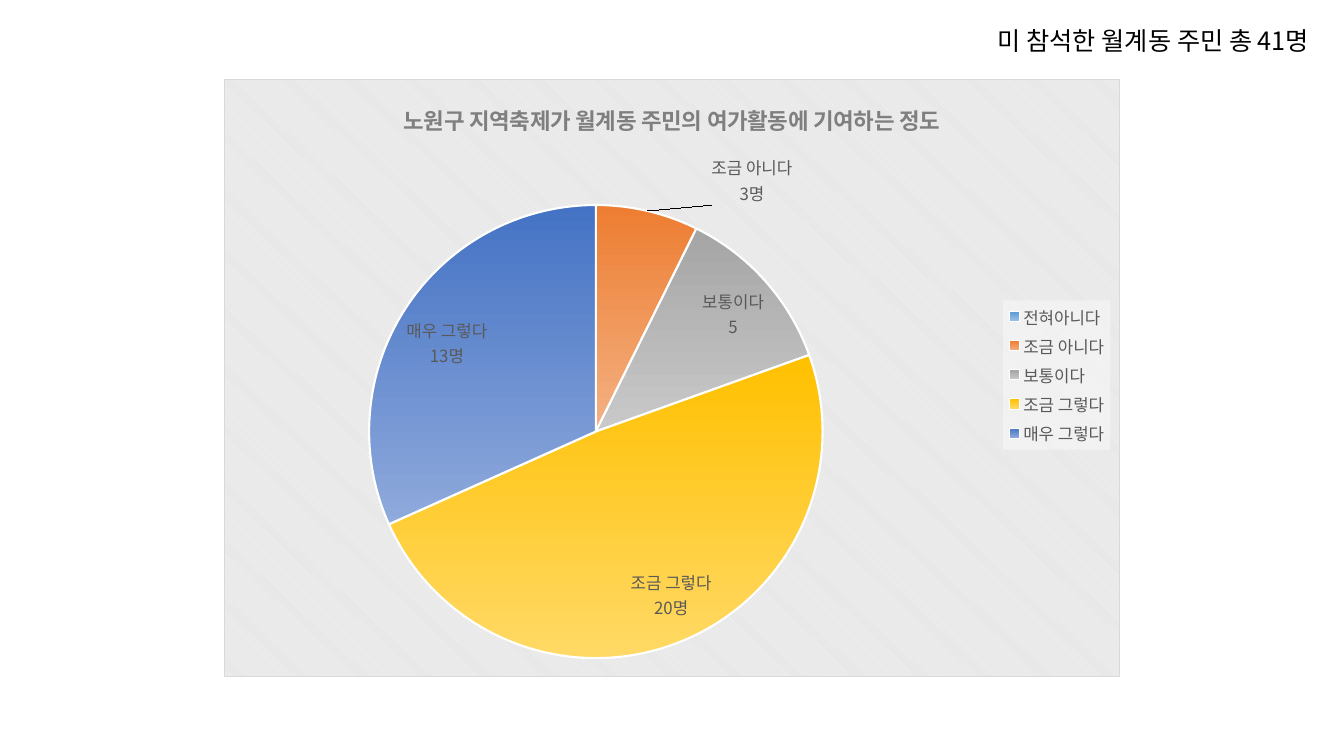
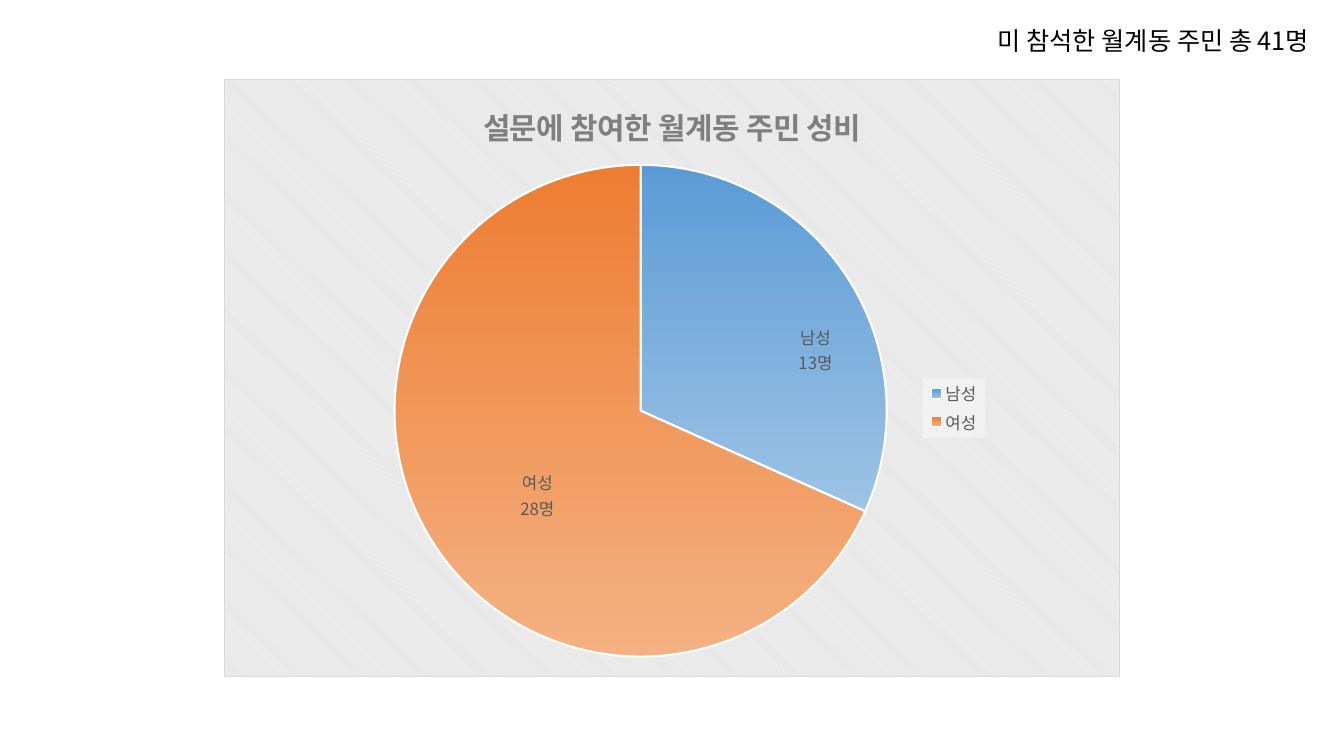
from pptx import Presentation
from pptx.chart.data import CategoryChartData
from pptx.dml.color import RGBColor
from pptx.enum.chart import XL_CHART_TYPE, XL_LABEL_POSITION, XL_LEGEND_POSITION
from pptx.oxml import parse_xml
from pptx.oxml.ns import nsdecls, qn
from pptx.util import Inches, Pt

PIE = XL_CHART_TYPE.PIE
BEST_FIT = XL_LABEL_POSITION.BEST_FIT
OUTSIDE_END = XL_LABEL_POSITION.OUTSIDE_END
RIGHT = XL_LEGEND_POSITION.RIGHT

FONT = "Noto Sans CJK KR"
COLORS = {
    "black": "000000", "white": "FFFFFF", "title": "7F7F7F", "label": "595959",
    "panel": "E6E6E6", "border": "D9D9D9",
}
GRADIENTS = {
    "blue": ("5B9BD5", "9DC3E6"),
    "orange": ("ED7D31", "F4B183"),
    "gray": ("A5A5A5", "C9C9C9"),
    "gold": ("FFC000", "FFD966"),
    "navy": ("4472C4", "8FAADC"),
}
CHART_AREA = (1 / 6, 0.105, 2 / 3, 0.79)
NOTE_AREA = (0.735, 0.027, 0.2625, 0.053)
NOTE = "미 참석한 월계동 주민 총 41명"

SURVEYS = [
    {
        "title": "노원구 지역축제가 월계동 주민의 여가활동에 기여하는 정도",
        "title_size": 16,
        "slices": [("전혀아니다", 0, "blue"), ("조금 아니다", 3, "orange"),
                   ("보통이다", 5, "gray"), ("조금 그렇다", 20, "gold"),
                   ("매우 그렇다", 13, "navy")],
        "counted": [1, 3, 4],
        "label_shifts": {1: (0.07, 0)},
        "label_position": BEST_FIT,
        "pie_area": (0.16, 0.21, 0.51, 0.76),
        "legend_area": (0.87, 0.37, 0.12, 0.25),
    },
    {
        "title": "설문에 참여한 월계동 주민 성비",
        "title_size": 21.3,
        "slices": [("남성", 13, "blue"), ("여성", 28, "orange")],
        "counted": [0, 1],
        "label_shifts": {0: (-0.06, 0.17), 1: (0.14, -0.13)},
        "label_position": OUTSIDE_END,
        "pie_area": (0.19, 0.14, 0.55, 0.83),
        "legend_area": (0.78, 0.5, 0.07, 0.1),
    },
]


def rgb(name):
    return RGBColor.from_string(COLORS[name])


def style_font(font, size, color, bold=False):
    font.name = FONT
    font.size = Pt(size)
    font.bold = bold
    font.color.rgb = rgb(color)


def add_east_asian_fonts(element):
    """Repeat every Latin typeface as the typeface for Korean text."""
    for latin in list(element.iter(qn("a:latin"))):
        latin.addnext(parse_xml(f'<a:ea {nsdecls("a")} typeface="{FONT}"/>'))


def set_layout(parent, index, values, modes=""):
    """Give a chart part its manual place, as shares of the chart's size."""
    for old in parent.findall(qn("c:layout")):
        parent.remove(old)
    sizes = "".join(f'<c:{key} val="{value}"/>' for key, value in zip("xywh", values))
    parent.insert(index, parse_xml(
        f'<c:layout {nsdecls("c")}><c:manualLayout>{modes}{sizes}'
        "</c:manualLayout></c:layout>"))


class SurveyDeck:
    EDGE = '<c:xMode val="edge"/><c:yMode val="edge"/>'

    def __init__(self):
        self.deck = Presentation()
        self.deck.slide_width = Inches(13.33)
        self.deck.slide_height = Inches(7.5)
        self.page = None

    def add_page(self):
        self.page = self.deck.slides.add_slide(self.deck.slide_layouts[6])

    def area(self, shares):
        sides = (self.deck.slide_width, self.deck.slide_height) * 2
        return [round(share * side) for share, side in zip(shares, sides)]

    def add_note(self, text):
        box = self.page.shapes.add_textbox(*self.area(NOTE_AREA))
        box.text_frame.word_wrap = True
        span = box.text_frame.paragraphs[0].add_run()
        span.text = text
        style_font(span.font, 18, "black")
        add_east_asian_fonts(box.element)

    def add_pie(self, survey):
        data = CategoryChartData()
        data.categories = [name for name, _, _ in survey["slices"]]
        data.add_series("Series 1", [count for _, count, _ in survey["slices"]])
        frame = self.page.shapes.add_chart(PIE, *self.area(CHART_AREA), data)
        chart = frame.chart
        style_font(chart.font, 10, "black")
        self.style_panel(chart)
        self.style_title(chart, survey)
        self.style_legend(chart, survey["legend_area"])
        plot = chart.plots[0]
        plot.vary_by_categories = True
        self.style_slices(plot.series[0], survey["slices"])
        self.style_labels(chart, survey)
        plot_area = chart.element.xpath("c:chart/c:plotArea")[0]
        target = '<c:layoutTarget val="inner"/>'
        set_layout(plot_area, 0, survey["pie_area"], target + self.EDGE)
        add_east_asian_fonts(chart.element)

    def style_panel(self, chart):
        body = chart.element.find(qn("c:chart"))
        body.addprevious(parse_xml(f'<c:roundedCorners {nsdecls("c")} val="0"/>'))
        body.addnext(parse_xml(
            f'<c:spPr {nsdecls("c", "a")}><a:pattFill prst="dkDnDiag">'
            f'<a:fgClr><a:srgbClr val="{COLORS["white"]}"/></a:fgClr>'
            f'<a:bgClr><a:srgbClr val="{COLORS["panel"]}"/></a:bgClr></a:pattFill>'
            f'<a:ln w="{Pt(0.75)}"><a:solidFill><a:srgbClr val="{COLORS["border"]}"/>'
            "</a:solidFill></a:ln></c:spPr>"))

    def style_title(self, chart, survey):
        chart.has_title = True
        span = chart.chart_title.text_frame.paragraphs[0].add_run()
        span.text = survey["title"]
        style_font(span.font, survey["title_size"], "title", bold=True)

    def style_legend(self, chart, shares):
        chart.has_legend = True
        chart.legend.position = RIGHT
        chart.legend.include_in_layout = False
        style_font(chart.legend.font, 12, "label")
        legend = chart.element.xpath("c:chart/c:legend")[0]
        set_layout(legend, 1, shares, self.EDGE)
        legend.find(qn("c:txPr")).addprevious(parse_xml(
            f'<c:spPr {nsdecls("c", "a")}><a:solidFill>'
            f'<a:srgbClr val="{COLORS["white"]}"><a:alpha val="39000"/></a:srgbClr>'
            "</a:solidFill></c:spPr>"))

    def style_slices(self, series, slices):
        for index, (_, _, gradient) in enumerate(slices):
            look = series.points[index].format
            look.fill.gradient()
            look.fill.gradient_angle = 270
            for stop, color in zip(look.fill.gradient_stops, GRADIENTS[gradient]):
                stop.color.rgb = RGBColor.from_string(color)
            look.line.color.rgb = rgb("white")
            look.line.width = Pt(1.5)

    def style_labels(self, chart, survey):
        series = chart.plots[0].series[0]
        labels = series.data_labels
        labels.show_value = True
        labels.show_category_name = True
        labels.position = survey["label_position"]
        style_font(labels.font, 12, "label")
        holder = chart.element.xpath(".//c:ser/c:dLbls")[0]
        holder.find(qn("c:showBubbleSize")).addnext(
            parse_xml(f'<c:separator {nsdecls("c")}>\n</c:separator>'))
        for index in survey["counted"]:
            name, count, _ = survey["slices"][index]
            label = series.points[index].data_label
            lines = label.text_frame
            for number, text in enumerate((name, f"{count}명")):
                para = lines.add_paragraph() if number else lines.paragraphs[0]
                span = para.add_run()
                span.text = text
                style_font(span.font, 12, "label")
            label.position = survey["label_position"]
        for index, shift in survey["label_shifts"].items():
            label = holder.xpath(f'c:dLbl[c:idx/@val="{index}"]')[0]
            set_layout(label, 1, shift)


def main():
    builder = SurveyDeck()
    for survey in SURVEYS:
        builder.add_page()
        builder.add_pie(survey)
        builder.add_note(NOTE)
    builder.deck.save("out.pptx")


if __name__ == "__main__":
    main()
